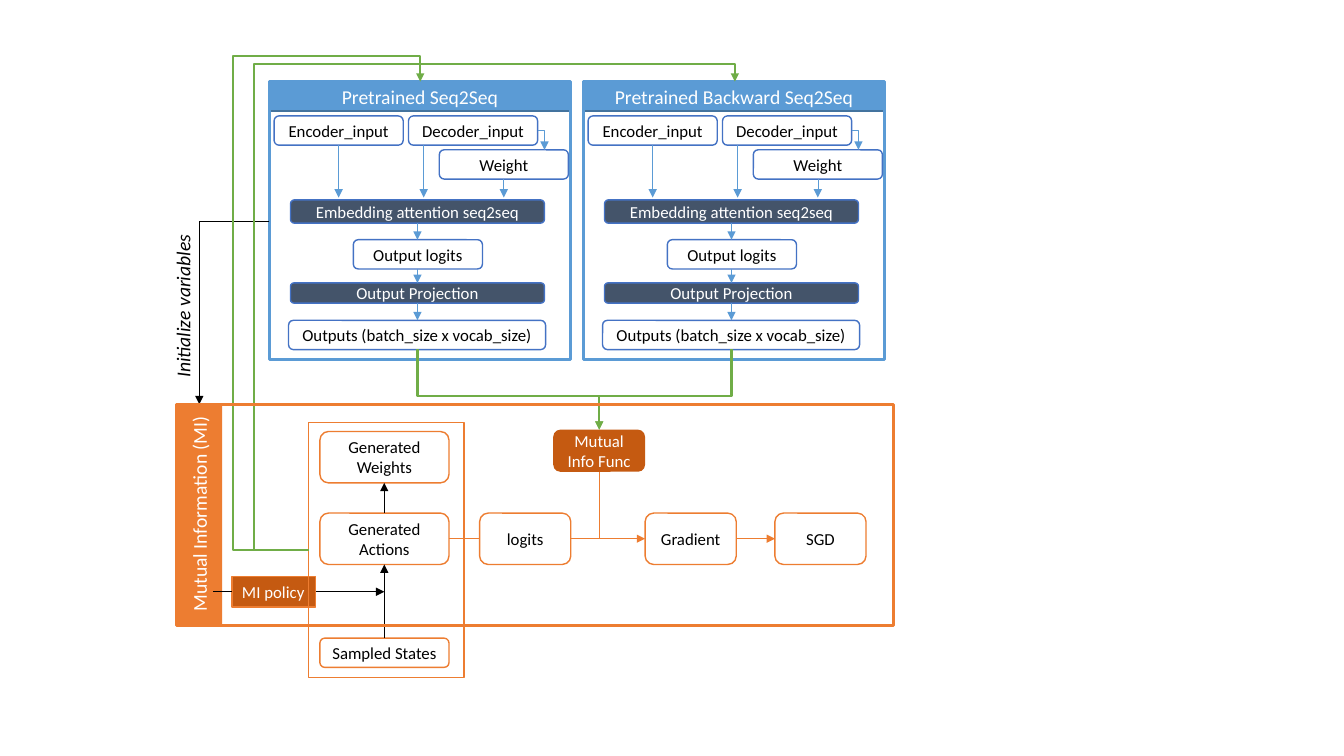
from dataclasses import dataclass

from lxml.etree import SubElement
from pptx import Presentation
from pptx.dml.color import RGBColor
from pptx.enum.shapes import MSO_CONNECTOR, MSO_SHAPE
from pptx.enum.text import MSO_ANCHOR, PP_ALIGN
from pptx.oxml.ns import qn
from pptx.util import Pt


@dataclass(frozen=True)
class Theme:
    font: str = "Calibri"
    body: float = 12
    title: float = 14
    black: str = "000000"
    white: str = "FFFFFF"
    blue: str = "5B9BD5"
    header_edge: str = "43739E"
    node_edge: str = "4472C4"
    slate: str = "44546A"
    orange: str = "ED7D31"
    rust: str = "C55A11"
    green: str = "70AD47"


theme = Theme()
deck = Presentation()
deck.slide_width, deck.slide_height = Pt(960), Pt(540)
page = deck.slides.add_slide(deck.slide_layouts[6])


def add_node(text, left, top, width, height, *, shape=MSO_SHAPE.ROUNDED_RECTANGLE,
             fill=theme.white, edge=None, weight=1, color=theme.black, size=theme.body,
             italic=False, align=PP_ALIGN.CENTER, anchor=MSO_ANCHOR.MIDDLE,
             wrap=True, rotation=0):
    """Add a box with optional text; shape=None gives a plain text box."""
    place = Pt(left), Pt(top), Pt(width), Pt(height)
    if shape is None:
        box = page.shapes.add_textbox(*place)
    else:
        box = page.shapes.add_shape(shape, *place)
        box.shadow.inherit = False
    box.rotation = rotation
    if fill:
        box.fill.solid()
        box.fill.fore_color.rgb = RGBColor.from_string(fill)
    else:
        box.fill.background()
    if edge:
        box.line.color.rgb = RGBColor.from_string(edge)
        box.line.width = Pt(weight)
    else:
        box.line.fill.background()
    if text:
        frame = box.text_frame
        frame.word_wrap = wrap
        frame.vertical_anchor = anchor
        para = frame.paragraphs[0]
        para.alignment = align
        span = para.add_run()
        span.text = text
        span.font.name = theme.font
        span.font.size = Pt(size)
        span.font.italic = italic
        span.font.color.rgb = RGBColor.from_string(color)


def add_link(x1, y1, x2, y2, color, *, weight=0.5, arrow=True, bend=None,
             adjust=(), upright=False):
    """Add a line; bend names an elbow preset, upright makes it leave vertically."""
    turn = 0
    if upright:
        # The elbow is laid out sideways around its centre, then turned.
        mid_x, mid_y = (x1 + x2) / 2, (y1 + y2) / 2
        turn, side = (270, -1) if x2 > x1 else (90, 1)
        half_width, half_height = (y2 - y1) / 2 * side, abs(x2 - x1) / 2
        x1, x2 = mid_x - half_width, mid_x + half_width
        y1, y2 = mid_y - half_height, mid_y + half_height
    kind = MSO_CONNECTOR.ELBOW if bend else MSO_CONNECTOR.STRAIGHT
    link = page.shapes.add_connector(kind, Pt(x1), Pt(y1), Pt(x2), Pt(y2))
    link.line.color.rgb = RGBColor.from_string(color)
    link.line.width = Pt(weight)
    properties = link._element.spPr
    if turn:
        properties.find(qn("a:xfrm")).set("rot", str(turn * 60000))
    if bend:
        geometry = properties.find(qn("a:prstGeom"))
        geometry.set("prst", bend)
        guides = geometry.find(qn("a:avLst"))
        for number, share in enumerate(adjust, 1):
            SubElement(guides, qn("a:gd"), name=f"adj{number}",
                       fmla=f"val {round(share * 100000)}")
    if arrow:
        SubElement(properties.find(qn("a:ln")), qn("a:tailEnd"), type="triangle")
    SubElement(properties, qn("a:effectLst"))


# Two pretrained models with the same inner flow
PANEL_LEFT, PANEL_TOP, PANEL_STEP, PANEL_WIDTH = 192.4, 58.3, 224.3, 215.3
NODE_WIDTH, NODE_HEIGHT = 92.2, 20.9
FLOW_X = 105.8
panel_nodes = [
    ("Encoder_input", 3.4, 82.8, NODE_WIDTH, NODE_HEIGHT),
    ("Decoder_input", 99.4, 82.8, NODE_WIDTH, NODE_HEIGHT),
    ("Weight", 121.4, 107, NODE_WIDTH, NODE_HEIGHT),
    ("Output logits", 60, 171.2, NODE_WIDTH, NODE_HEIGHT),
    ("Outputs (batch_size x vocab_size)", 13.7, 228.8, 183.6, NODE_HEIGHT),
]
panel_steps = [
    ("Embedding attention seq2seq", 142.8, 16.6),
    ("Output Projection", 202.1, 14.4),
]
panel_arrows = [
    (49.5, 103.7, 141.1), (110.2, 103.7, 141.1), (167.5, 127.8, 141.1),
    (FLOW_X, 159.6, 171.2), (FLOW_X, 192.1, 202.1), (FLOW_X, 216.5, 228.8),
]
for index, title in enumerate(("Pretrained Seq2Seq", "Pretrained Backward Seq2Seq")):
    left = PANEL_LEFT + index * PANEL_STEP
    add_node(title, left, PANEL_TOP, PANEL_WIDTH, 21, shape=MSO_SHAPE.RECTANGLE,
             fill=theme.blue, edge=theme.header_edge, color=theme.white, size=theme.title)
    add_node("", left, PANEL_TOP, PANEL_WIDTH, 198.7, shape=MSO_SHAPE.RECTANGLE,
             fill=None, edge=theme.blue, weight=2.25)
    for text, offset, top, width, height in panel_nodes:
        add_node(text, left + offset, top, width, height, edge=theme.node_edge)
    for text, top, height in panel_steps:
        add_node(text, left + 15.1, top, 181.4, height, fill=theme.slate,
                 edge=theme.node_edge, color=theme.white)
    for offset, start, end in panel_arrows:
        add_link(left + offset, start, left + offset, end, theme.blue)
    add_link(left + 191.6, 93.2, left + 196.5, 107, theme.blue, bend="bentConnector2")

# Mutual information frame and its start values
add_node("Mutual Information (MI)", 63.4, 350.6, 157.7, 33.1, shape=MSO_SHAPE.RECTANGLE,
         fill=theme.orange, color=theme.white, size=theme.title, rotation=270)
add_link(PANEL_LEFT, 158, 142.4, 288.7, theme.black, bend="bentConnector2")
add_node("Initialize variables", 70.6, 204.5, 120.2, 24.5, shape=None, fill=None,
         size=theme.title, italic=True, align=PP_ALIGN.LEFT, anchor=MSO_ANCHOR.TOP,
         wrap=False, rotation=270)

# Sampling column
ACTION_X, ROW_TOP, ROW_HEIGHT, ROW_Y = 274.5, 366.5, 36.7, 384.8
for text, top, height in (("Sampled States", 455.8, NODE_HEIGHT),
                          ("Generated Actions", ROW_TOP, ROW_HEIGHT),
                          ("Generated Weights", 308.2, ROW_HEIGHT)):
    add_node(text, 228.5, top, NODE_WIDTH, height, edge=theme.orange)
add_link(ACTION_X, 455.8, ACTION_X, 403.2, theme.black)
add_link(ACTION_X, ROW_TOP, ACTION_X, 344.9, theme.black)
add_node("MI policy", 165.8, 411.8, 59.8, 21.8, shape=MSO_SHAPE.RECTANGLE,
         fill=theme.rust, edge=theme.orange, color=theme.white,
         align=PP_ALIGN.LEFT, anchor=MSO_ANCHOR.TOP, wrap=False)
add_node("", 220.5, 301.7, 111, 182.2, shape=MSO_SHAPE.RECTANGLE,
         fill=None, edge=theme.orange)

# Feedback into both models
for target, adjust in ((300.2, (-0.681, 1.054)), (524.9, (-0.128, 1.038))):
    add_link(220.5, 392.7, target, PANEL_TOP, theme.green, weight=1.5,
             bend="bentConnector4", adjust=adjust)

# Model outputs into the mutual information function
FUNC_X, FUNC_TOP = 428, 306.9
add_node("Mutual Info Func", 395.2, FUNC_TOP, 65.6, 30.1, fill=theme.rust, color=theme.white)
for index in range(2):
    add_link(PANEL_LEFT + FLOW_X + index * PANEL_STEP, 249.4, FUNC_X, FUNC_TOP, theme.green,
             weight=1.5, bend="bentConnector3", adjust=(0.581,), upright=True)
add_node("", 126, 288.7, 512.1, 157.9, shape=MSO_SHAPE.RECTANGLE,
         fill=None, edge=theme.orange, weight=2.25)

# Training row
for text, left in (("logits", 342.6), ("Gradient", 460.8), ("SGD", 553.5)):
    add_node(text, left, ROW_TOP, 65.1, ROW_HEIGHT, edge=theme.orange)
for start, end, arrow in ((320.7, 342.6, False), (407.7, 460.8, True), (525.9, 553.5, True)):
    add_link(start, ROW_Y, end, ROW_Y, theme.orange, arrow=arrow)
add_link(FUNC_X, 337, FUNC_X, ROW_Y, theme.orange, arrow=False)
for start, end, arrow in ((165.8, 152.2, False), (225.6, ACTION_X, True)):
    add_link(start, 422.7, end, 422.7, theme.black, arrow=arrow)

deck.save("out.pptx")
